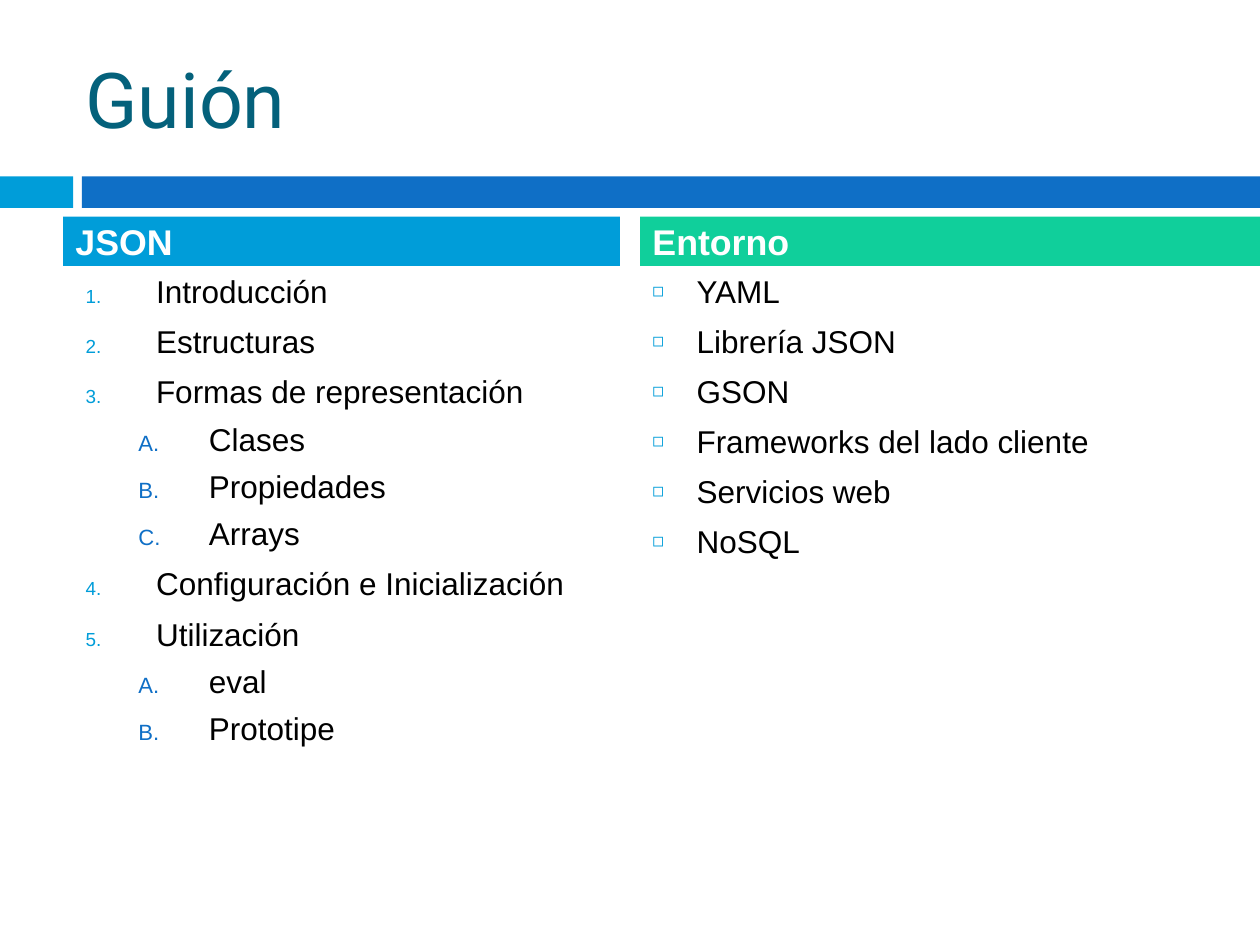
from dataclasses import dataclass

from lxml.etree import SubElement
from pptx import Presentation
from pptx.dml.color import RGBColor
from pptx.enum.shapes import MSO_SHAPE
from pptx.enum.text import MSO_ANCHOR, PP_ALIGN
from pptx.oxml.ns import qn
from pptx.util import Inches, Pt


@dataclass(frozen=True)
class Theme:
    sky: str = "009DD9"
    blue: str = "0F6FC6"
    green: str = "10CF9B"
    teal: str = "04617B"
    black: str = "000000"
    white: str = "FFFFFF"
    title: float = 44
    head: float = 20.4
    body: float = 18


theme = Theme()


def write(frame, text, size=theme.body, color=theme.black, font="Arial",
          bold=False, anchor=MSO_ANCHOR.TOP, before=0, level=0, mark=None):
    """Write one paragraph; mark is (kind, value, color, percent, margin, hang)."""
    frame.word_wrap = True
    frame.vertical_anchor = anchor
    para = frame.paragraphs[0]
    if para.runs:
        para = frame.add_paragraph()
    para.alignment = PP_ALIGN.LEFT
    para.space_before = Pt(before)
    para.level = level
    run = para.add_run()
    run.text = text
    run.font.name = font
    run.font.size = Pt(size)
    run.font.bold = bold
    run.font.color.rgb = RGBColor.from_string(color)
    if mark:
        kind, value, tint, percent, margin, hang = mark
        props = para._p.get_or_add_pPr()
        props.set("marL", str(Inches(margin)))
        props.set("indent", str(-Inches(hang)))
        SubElement(SubElement(props, qn("a:buClr")), qn("a:srgbClr"), val=tint)
        SubElement(props, qn("a:buSzPct"), val=str(percent * 1000))
        SubElement(props, qn("a:buFont"), typeface="Arial")
        name = "type" if kind == "buAutoNum" else "char"
        SubElement(props, qn("a:" + kind), {name: value})


def bar(left, top, width, height, color):
    """Draw a flat rectangle without outline."""
    shape = slide.shapes.add_shape(MSO_SHAPE.RECTANGLE, Inches(left), Inches(top),
                                   Inches(width), Inches(height))
    shape.shadow.inherit = False
    shape.fill.solid()
    shape.fill.fore_color.rgb = RGBColor.from_string(color)
    shape.line.fill.background()
    return shape


deck = Presentation()
deck.slide_width, deck.slide_height = Inches(10), Inches(7.5)
slide = deck.slides.add_slide(deck.slide_layouts[6])

# Band under the title
bar(0, 1.4, 0.58, 0.25, theme.sky)
bar(0.65, 1.4, 9.35, 0.25, theme.blue)

# Title
box = slide.shapes.add_textbox(Inches(0.58), Inches(0.3), Inches(8.92), Inches(0.95))
write(box.text_frame, "Guión", size=theme.title, color=theme.teal,
      font="Roboto", anchor=MSO_ANCHOR.MIDDLE)

# Columns: list marks by level, then heading and items
number = ("buAutoNum", "arabicPeriod", theme.sky, 60, 0.64, 0.56)
letter = ("buAutoNum", "alphaUcPeriod", theme.blue, 70, 1.06, 0.56)
square = ("buChar", "◻", theme.sky, 60, 0.35, 0.35)
space = (7, 5.5)

columns = [
    (0.5, 4.42, theme.sky, "JSON", (number, letter), [
        (0, "Introducción"), (0, "Estructuras"), (0, "Formas de representación"),
        (1, "Clases"), (1, "Propiedades"), (1, "Arrays"),
        (0, "Configuración e Inicialización"), (0, "Utilización"),
        (1, "eval"), (1, "Prototipe")]),
    (5.08, 4.92, theme.green, "Entorno", (square,), [
        (0, "YAML"), (0, "Librería JSON"), (0, "GSON"),
        (0, "Frameworks del lado cliente"), (0, "Servicios web"), (0, "NoSQL")]),
]

for left, width, color, head, marks, items in columns:
    box = slide.shapes.add_textbox(Inches(left), Inches(2.11), Inches(4.42), Inches(4.91))
    for level, item in items:
        write(box.text_frame, item, before=space[level], level=level, mark=marks[level])
    label = bar(left, 1.72, width, 0.39, color)
    write(label.text_frame, head, size=theme.head, color=theme.white, bold=True,
          anchor=MSO_ANCHOR.MIDDLE, before=7)

deck.save("out.pptx")
